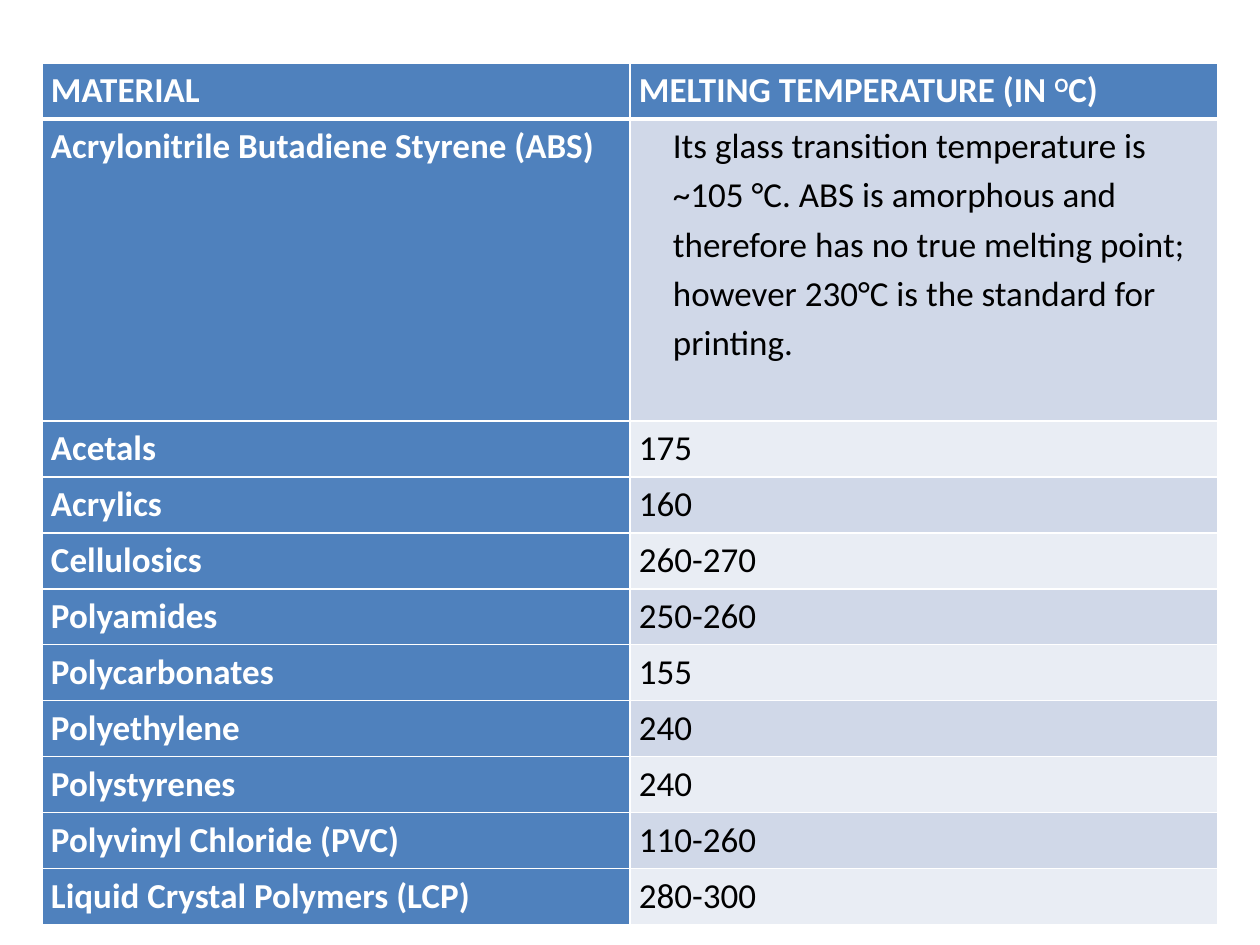
import pptx
import pptx.dml.color
import pptx.enum.text
import pptx.oxml
import pptx.oxml.ns
import pptx.util

PX = 914400 // 126
WHITE, BLACK, BLUE = "FFFFFF", "000000", "4F81BD"
BANDS = ("D0D8E8", "E9EDF4")

HEADER = ("MATERIAL", [("MELTING TEMPERATURE (IN ", 0), ("O", 30000), ("C)", 0)])
ABS_NOTE = (
    "Its glass transition temperature is ~105 °C. ABS is amorphous and "
    "therefore has no true melting point; however 230°C is the standard "
    "for printing."
)
MELTING_POINTS = [
    ("Acrylonitrile Butadiene Styrene (ABS)", ABS_NOTE),
    ("Acetals", "175"),
    ("Acrylics", "160"),
    ("Cellulosics", "260-270"),
    ("Polyamides", "250-260"),
    ("Polycarbonates", "155"),
    ("Polyethylene", "240"),
    ("Polystyrenes", "240"),
    ("Polyvinyl Chloride (PVC)", "110-260"),
    ("Liquid Crystal Polymers (LCP)", "280-300"),
]


def color(value):
    return pptx.dml.color.RGBColor.from_string(value)


class SlideWriter:
    """Holds the text style and the current slide."""

    font, size, spacing = "Calibri", 20, 1.15

    def __init__(self, slide):
        self.slide = slide

    def table(self, left, top, widths, heights):
        frame = self.slide.shapes.add_table(
            len(heights), len(widths), left * PX, top * PX,
            sum(widths) * PX, sum(heights) * PX)
        grid = frame.table
        grid.first_row = grid.horz_banding = False
        for column, width in zip(grid.columns, widths):
            column.width = width * PX
        for row, height in zip(grid.rows, heights):
            row.height = height * PX
        return grid

    def cell(self, cell, content, fill, ink, bold, indent=0, above=1, below=1):
        cell.fill.solid()
        cell.fill.fore_color.rgb = color(fill)
        cell.margin_left = cell.margin_right = 9 * PX
        cell.margin_top = cell.margin_bottom = 0
        self.borders(cell, {"lnL": 1, "lnR": 1, "lnT": above, "lnB": below})
        paragraph = cell.text_frame.paragraphs[0]
        paragraph.line_spacing = self.spacing
        if indent:
            properties = paragraph._p.get_or_add_pPr()
            properties.set("marL", str(indent * PX))
            properties.set("indent", "0")
            paragraph.space_after = pptx.util.Pt(1.2)
        else:
            paragraph.alignment = pptx.enum.text.PP_ALIGN.JUSTIFY
        for words, baseline in [(content, 0)] if isinstance(content, str) else content:
            self.run(paragraph, words, ink, bold, baseline)

    def run(self, paragraph, words, ink, bold, baseline):
        run = paragraph.add_run()
        run.text = words
        run.font.name, run.font.size = self.font, pptx.util.Pt(self.size)
        run.font.bold, run.font.color.rgb = bold, color(ink)
        if baseline:
            run._r.get_or_add_rPr().set("baseline", str(baseline))

    def borders(self, cell, points):
        namespace = pptx.oxml.ns.nsdecls("a")
        properties = cell._tc.get_or_add_tcPr()
        for position, (side, width) in enumerate(points.items()):
            properties.insert(position, pptx.oxml.parse_xml(
                f'<a:{side} {namespace} w="{pptx.util.Pt(width)}"><a:solidFill>'
                f'<a:srgbClr val="{WHITE}"/></a:solidFill></a:{side}>'))


def main():
    presentation = pptx.Presentation()
    presentation.slide_width = pptx.util.Inches(10)
    presentation.slide_height = pptx.util.Inches(7.5)
    writer = SlideWriter(presentation.slides.add_slide(presentation.slide_layouts[6]))

    heights = [56, 302] + [56] * (len(MELTING_POINTS) - 1)
    grid = writer.table(42, 63, [588, 588], heights)
    for column, heading in enumerate(HEADER):
        writer.cell(grid.cell(0, column), heading, BLUE, WHITE, True, below=3)
    for row, (material, temperature) in enumerate(MELTING_POINTS, 1):
        above = 3 if row == 1 else 1
        indent = 34 if temperature == ABS_NOTE else 0
        writer.cell(grid.cell(row, 0), material, BLUE, WHITE, True, above=above)
        writer.cell(grid.cell(row, 1), temperature, BANDS[(row - 1) % 2],
                    BLACK, False, indent, above)
    presentation.save("out.pptx")


if __name__ == "__main__":
    main()
